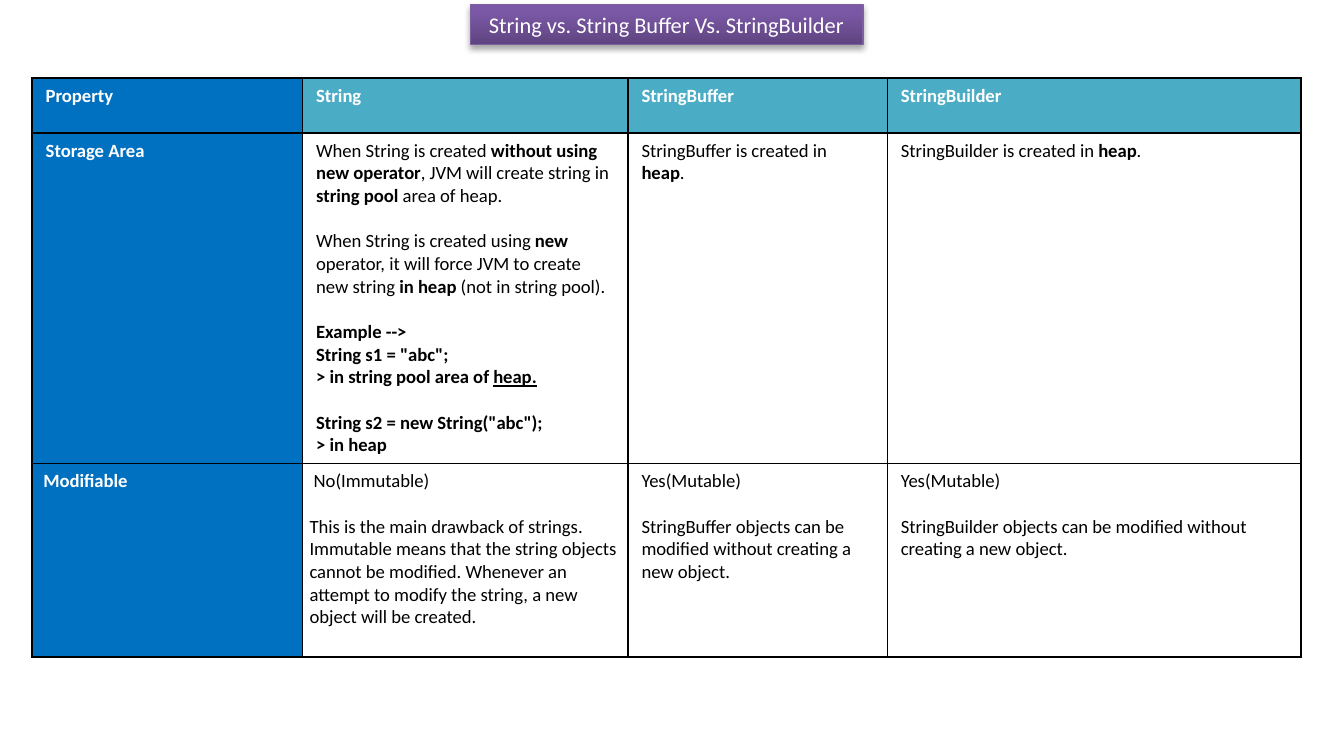
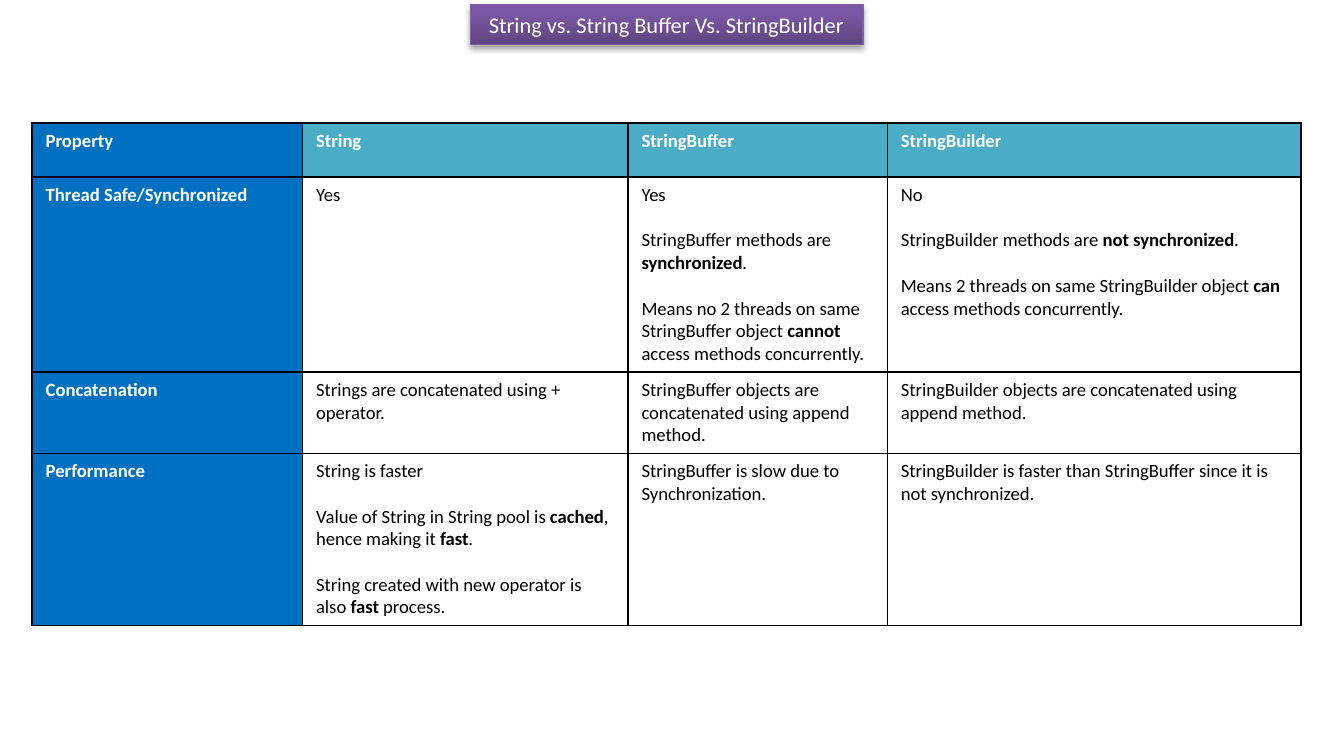
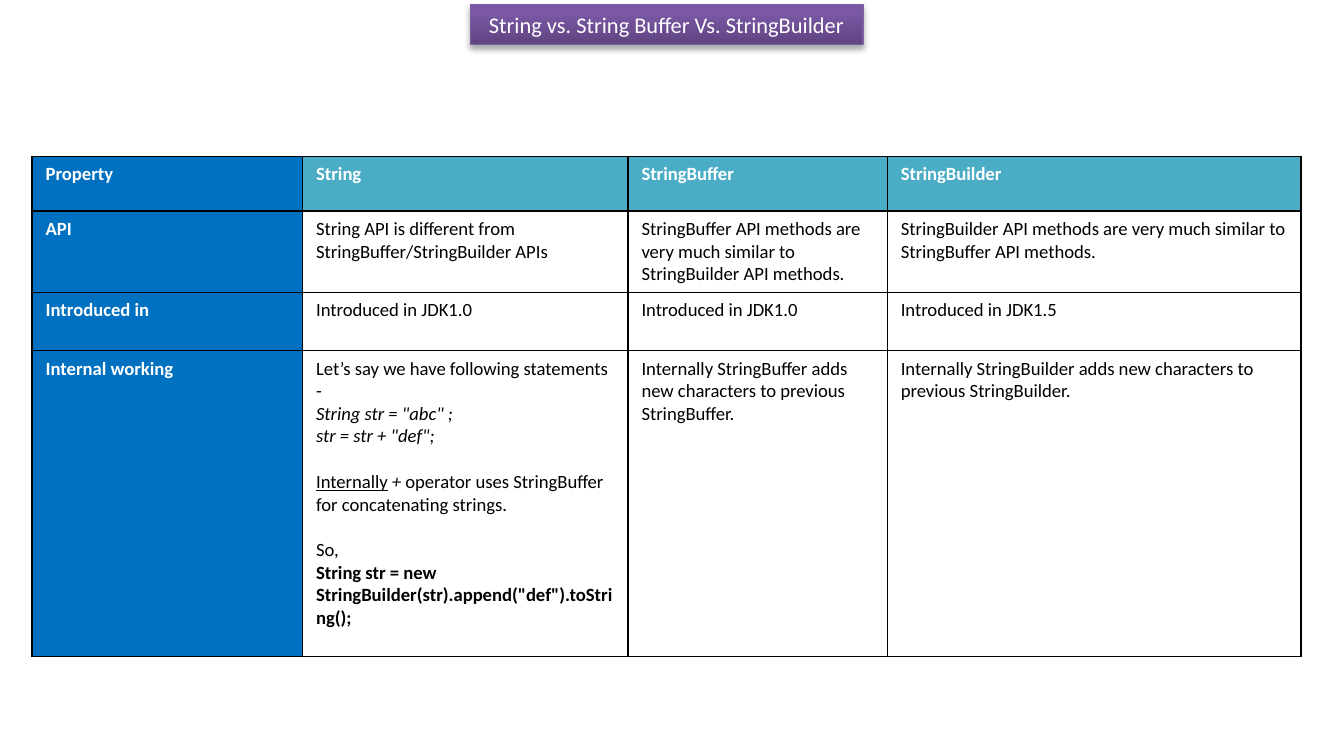
from pptx import Presentation
from pptx.dml.color import RGBColor
from pptx.enum.text import MSO_ANCHOR, MSO_AUTO_SIZE, PP_ALIGN
from pptx.oxml import parse_xml
from pptx.oxml.ns import nsdecls
from pptx.util import Cm, Pt

TITLE = "String vs. String Buffer Vs. StringBuilder"
HEADINGS = ("Property", "String", "StringBuffer", "StringBuilder")

COMPARISONS = [
    {
        "top": 1.48,
        "heights": (1.03, 6.18, 3.66),
        "tight": {(2, 0), (2, 1)},
        "rows": [
            (
                "Storage Area",
                """When String is created *without using new operator*, JVM will create string in *string pool *area of heap.

When String is created using *new *operator, it will force JVM to create new string *in heap *(not in string pool).

*Example -->*
*String s1 = "abc";*
*> in string pool area of _heap._*

*String s2 = new String("abc");*
*> in heap*""",
                "StringBuffer is created in *heap*.",
                "StringBuilder is created in *heap*.",
            ),
            (
                " Modifiable",
                """ No(Immutable)

This is the main drawback of strings. Immutable means that the string objects cannot be modified. Whenever an attempt to modify the string, a new object will be created.""",
                """Yes(Mutable)

StringBuffer objects can be modified without creating a new object.""",
                """Yes(Mutable)

StringBuilder objects can be modified without creating a new object.""",
            ),
        ],
    },
    {
        "top": 2.32,
        "heights": (1.03, 3.65, 1.53, 3.23),
        "tight": set(),
        "rows": [
            (
                "Thread Safe/Synchronized",
                "Yes",
                """Yes

StringBuffer methods are *synchronized*.

Means no 2 threads on same StringBuffer object *cannot *access methods concurrently.""",
                """No

StringBuilder methods are *not synchronized*.

Means 2 threads on same StringBuilder object *can *access methods concurrently.""",
            ),
            (
                "Concatenation",
                "Strings are concatenated using + operator.",
                "StringBuffer objects are concatenated using append method.",
                "StringBuilder objects are concatenated using append method.",
            ),
            (
                "Performance",
                """String is faster

Value of String in String pool is *cached*, hence making it *fast*.

String created with new operator is also *fast *process.""",
                "StringBuffer is slow due to Synchronization.",
                "StringBuilder is faster than StringBuffer since it is not synchronized.",
            ),
        ],
    },
    {
        "top": 2.96,
        "heights": (1.03, 1.53, 1.1, 5.78),
        "tight": set(),
        "rows": [
            (
                "API",
                "String API is different from StringBuffer/StringBuilder APIs",
                "StringBuffer API methods are very much similar to StringBuilder API methods.",
                "StringBuilder API methods are very much similar to StringBuffer API methods.",
            ),
            (
                "Introduced in",
                "Introduced in JDK1.0",
                "Introduced in JDK1.0",
                "Introduced in JDK1.5",
            ),
            (
                "Internal working",
                """Let’s say we have following statements -
~String str = "abc" ;~
~str = str + "def";~

_Internally_ ~+~ operator uses StringBuffer for concatenating strings.

So,
*String str = new StringBuilder(str).append("def").toString();*""",
                "Internally StringBuffer adds new characters to previous StringBuffer.",
                "Internally StringBuilder adds new characters to previous StringBuilder.",
            ),
        ],
    },
]

FONT = "Calibri"
WHITE, BLACK = "FFFFFF", "000000"
PROPERTY_BLUE, HEADING_TEAL = "0070C0", "4BACC6"
BANNER_STOPS = ((0, "5F4480"), (0.8, "7B58A6"))
BANNER_EDGE = "7D60A0"
COLUMN_WIDTHS = (5.11, 6.15, 4.9, 7.82)
TABLE_LEFT = 0.61
TIGHT_MARGIN = 0.13
BLANK_LINE = 12.2
STYLE_MARKS = {"*": "bold", "_": "underline", "~": "italic"}


def color(value):
    return RGBColor.from_string(value)


def styled_pieces(line):
    styles, piece = set(), ""
    for letter in line:
        if letter in STYLE_MARKS:
            if piece:
                yield piece, set(styles)
            styles ^= {STYLE_MARKS[letter]}
            piece = ""
        else:
            piece += letter
    if piece:
        yield piece, styles


def add_run(paragraph, text, size, ink, styles=()):
    run = paragraph.add_run()
    run.text = text
    run.font.name = FONT
    run.font.size = Pt(size)
    run.font.color.rgb = color(ink)
    for style in STYLE_MARKS.values():
        setattr(run.font, style, style in styles)


def add_banner(slide):
    banner = slide.shapes.title
    banner.left, banner.top = Cm(8.89), Cm(0.08)
    banner.width, banner.height = Cm(7.42), Cm(0.76)
    banner.fill.gradient()
    banner.fill.gradient_angle = 90
    for stop, (position, shade) in zip(banner.fill.gradient_stops, BANNER_STOPS):
        stop.position = position
        stop.color.rgb = color(shade)
    banner.line.color.rgb = color(BANNER_EDGE)
    banner.line.width = Pt(0.75)
    banner._element.spPr.append(parse_xml(
        f'<a:effectLst {nsdecls("a")}><a:outerShdw blurRad="40000" dist="23000"'
        ' dir="5400000" rotWithShape="0"><a:srgbClr val="000000">'
        '<a:alpha val="35000"/></a:srgbClr></a:outerShdw></a:effectLst>'))
    frame = banner.text_frame
    frame.word_wrap = True
    frame.auto_size = MSO_AUTO_SIZE.NONE
    frame.vertical_anchor = MSO_ANCHOR.MIDDLE
    frame.paragraphs[0].alignment = PP_ALIGN.CENTER
    add_run(frame.paragraphs[0], TITLE, 12, WHITE)


def add_borders(cell):
    properties = cell._tc.get_or_add_tcPr()
    for index, side in enumerate("LRTB"):
        properties.insert(index, parse_xml(
            f'<a:ln{side} {nsdecls("a")} w="12700"><a:solidFill>'
            f'<a:srgbClr val="{BLACK}"/></a:solidFill></a:ln{side}>'))


def fill_cell(cell, text, background, ink, bold):
    cell.fill.solid()
    cell.fill.fore_color.rgb = color(background)
    add_borders(cell)
    frame = cell.text_frame
    paragraph = None
    for block in text.split("\n\n"):
        for position, line in enumerate(block.split("\n")):
            if paragraph is None:
                paragraph = frame.paragraphs[0]
            else:
                paragraph = frame.add_paragraph()
                paragraph.space_before = Pt(0 if position else BLANK_LINE)
            for piece, styles in styled_pieces(line):
                add_run(paragraph, piece, 10, ink, styles | ({"bold"} if bold else set()))


def add_comparison(slide, comparison):
    rows = [HEADINGS, *comparison["rows"]]
    heights = comparison["heights"]
    table = slide.shapes.add_table(
        len(rows), len(HEADINGS), Cm(TABLE_LEFT), Cm(comparison["top"]),
        Cm(sum(COLUMN_WIDTHS)), Cm(sum(heights))).table
    for column, width in zip(table.columns, COLUMN_WIDTHS):
        column.width = Cm(width)
    for row, height in zip(table.rows, heights):
        row.height = Cm(height)
    for r, row in enumerate(rows):
        for c, text in enumerate(row):
            cell = table.cell(r, c)
            label = r == 0 or c == 0
            background = PROPERTY_BLUE if c == 0 else HEADING_TEAL if r == 0 else WHITE
            fill_cell(cell, text, background, WHITE if label else BLACK, label)
            if (r, c) in comparison["tight"]:
                cell.margin_left = cell.margin_right = Cm(TIGHT_MARGIN)


def main():
    deck = Presentation()
    deck.slide_width, deck.slide_height = Cm(25.4), Cm(13.97)
    title_only = deck.slide_layouts[5]
    for comparison in COMPARISONS:
        slide = deck.slides.add_slide(title_only)
        add_banner(slide)
        add_comparison(slide, comparison)
    deck.save("out.pptx")


if __name__ == "__main__":
    main()
